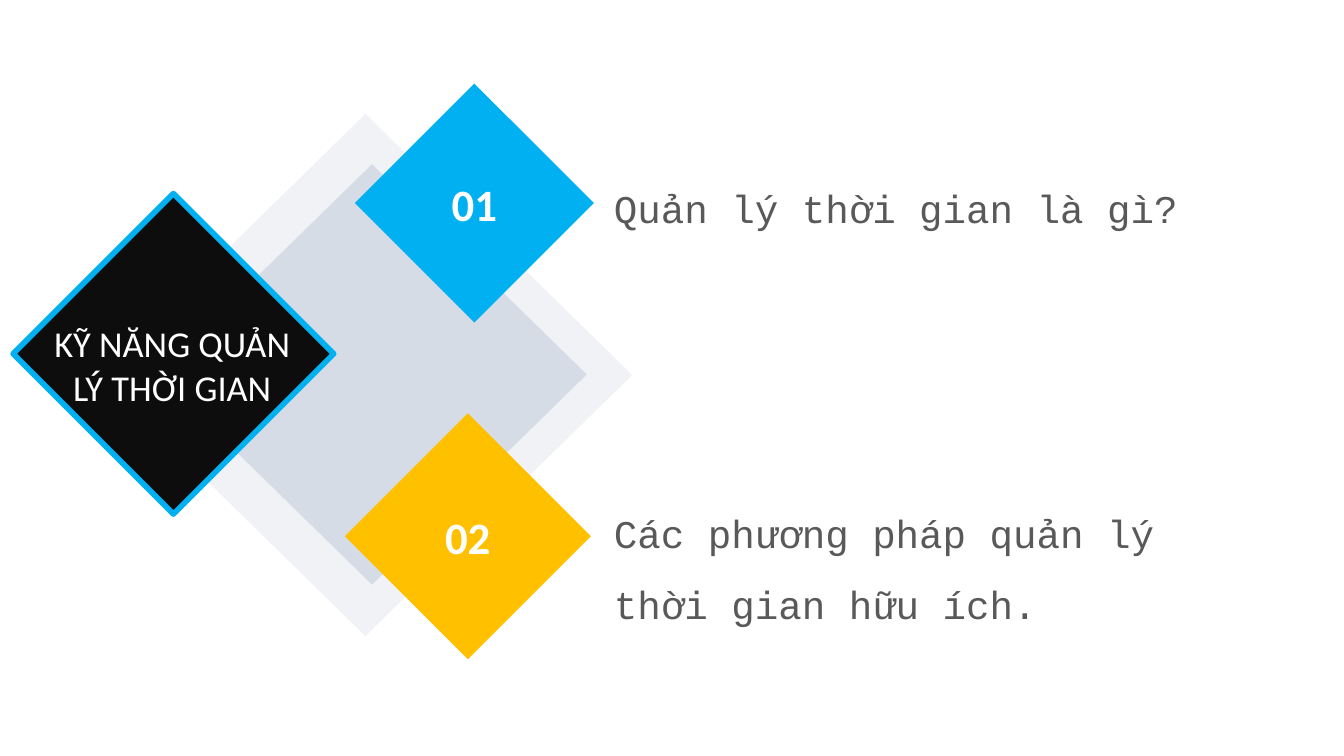
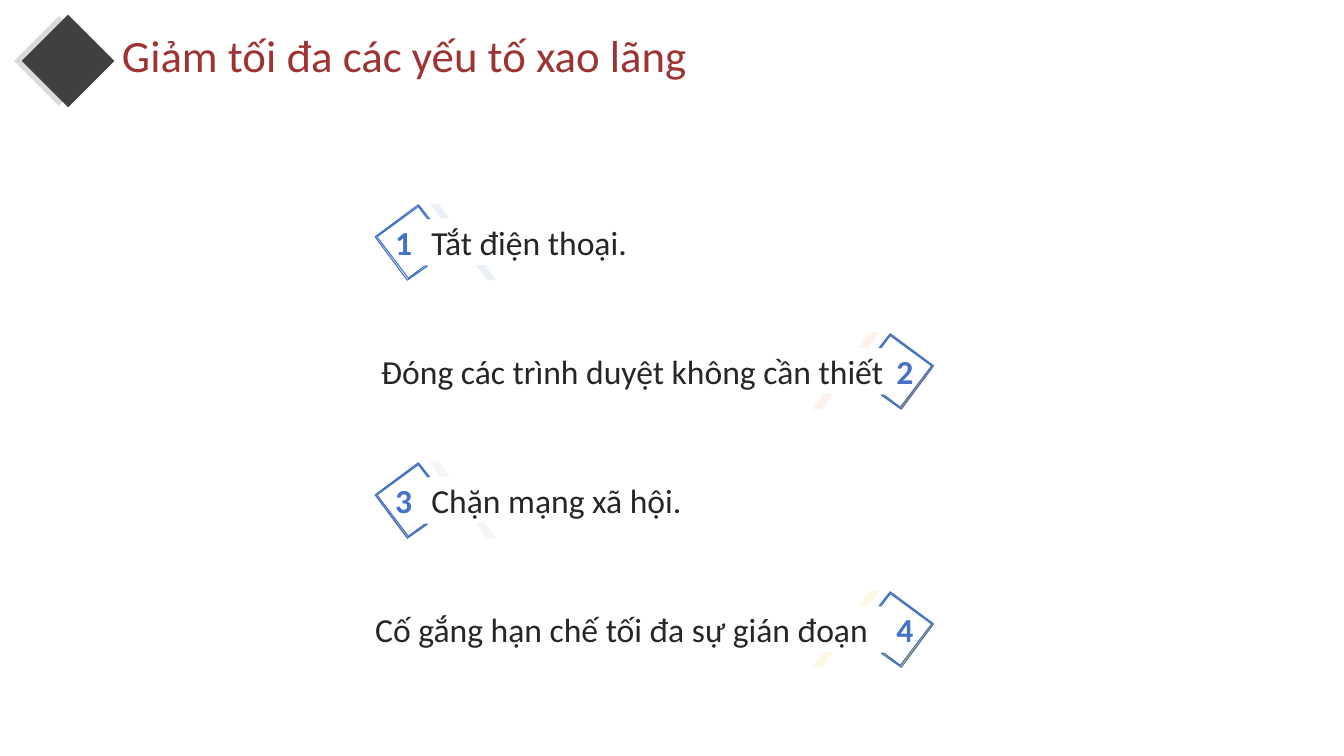
import pptx
import pptx.dml.color
import pptx.enum.shapes
import pptx.enum.text
import pptx.util
from lxml import etree

EMU_PER_PX = 9144
SLIDE_WIDTH, SLIDE_HEIGHT = 1333, 750
TITLE_ONLY_LAYOUT = 5

WHITE, BLACK, MIST = "FFFFFF", "0D0D0D", "D6DCE5"
SKY, AMBER = "00B0F0", "FFC000"
BLUE, ORANGE, GRAY = "4472C4", "ED7D31", "A5A5A5"

SHAPE = pptx.enum.shapes.MSO_SHAPE
ALIGN = pptx.enum.text.PP_ALIGN
ANCHOR = pptx.enum.text.MSO_ANCHOR

AGENDA_TEXT = {"size": 28, "name": "Courier New", "color": "595959"}
AGENDA_NUMBER = {"size": 32, "name": "Calibri", "color": WHITE, "bold": True}
AGENDA_TITLE = {"size": 26, "name": "Calibri", "color": WHITE}
SLIDE_TITLE = {"size": 32, "name": "Calibri", "color": "9D3333"}
TIP_TEXT = {"size": 24, "name": "Calibri", "color": "262626"}
TIP_NUMBER = {"size": 24, "name": "Calibri", "color": BLUE, "bold": True}

BRACKET = [(43, 0), (54, 14), (52, 14), (43, 2), (2, 32),
           (33, 73), (49, 61), (52, 61), (32, 75), (0, 32)]
SHARDS = [[(100, 60), (109, 60), (120, 75), (111, 75)],
          [(54, -1), (63, -1), (74, 14), (65, 14)]]
MARKER_WIDTH, MARKER_HEIGHT = 54, 75

AGENDA = [
    ("01", "Quản lý thời gian là gì?", SKY, (352, 83, 237, 237), 155),
    ("02", "Các phương pháp quản lý thời gian hữu ích.", AMBER,
     (342, 410, 244, 244), 477),
]
TIPS = [
    ("Tắt điện thoại.", None, BLUE, 10),
    ("Đóng các trình duyệt không cần thiết", ORANGE, ORANGE, 10),
    ("Chặn mạng xã hội.", GRAY, GRAY, 10),
    ("Cố gắng hạn chế tối đa sự gián đoạn", AMBER, AMBER, 25),
]


def px(length):
    """Turn a length in px into EMU."""
    return pptx.util.Emu(length * EMU_PER_PX)


def rgb(hex_color):
    """Turn a hex string into a colour."""
    return pptx.dml.color.RGBColor.from_string(hex_color)


def set_values(target, values):
    """Set each attribute named in a dict on the target."""
    for name, value in values.items():
        setattr(target, name, value)


def paint(shape, fill=None, line=None, line_width=1, alpha=None):
    """Give a shape its fill, opacity in percent and outline, without shadow."""
    shape.shadow.inherit = False
    if fill:
        shape.fill.solid()
        shape.fill.fore_color.rgb = rgb(fill)
    else:
        shape.fill.background()
    if alpha:
        color = shape.fill._xPr.find(".//" + pptx.oxml.ns.qn("a:srgbClr"))
        etree.SubElement(color, pptx.oxml.ns.qn("a:alpha"), val=str(alpha * 1000))
    if line:
        shape.line.color.rgb = rgb(line)
        shape.line.width = pptx.util.Pt(line_width)
    else:
        shape.line.fill.background()


def write(shape, text, style, align=ALIGN.LEFT, anchor=ANCHOR.TOP, wrap=True,
          insets=(10, 5, 10, 5), spacing=1.0):
    """Write one formatted paragraph into a shape."""
    frame = shape.text_frame
    sides = ("margin_left", "margin_top", "margin_right", "margin_bottom")
    set_values(frame, dict(zip(sides, map(px, insets))))
    set_values(frame, {"word_wrap": wrap, "vertical_anchor": anchor,
                       "auto_size": pptx.enum.text.MSO_AUTO_SIZE.NONE})
    paragraph = frame.paragraphs[0]
    set_values(paragraph, {"alignment": align, "line_spacing": spacing})
    run = paragraph.add_run()
    run.text = text
    font = dict(style, size=pptx.util.Pt(style["size"]))
    run.font.color.rgb = rgb(font.pop("color"))
    set_values(run.font, font)


def add_preset(slide, kind, box, rotation=0, **look):
    """Add a painted preset shape in a box."""
    shape = slide.shapes.add_shape(kind, *map(px, box))
    shape.rotation = rotation
    paint(shape, **look)
    return shape


def add_text(slide, box, text, style, **layout):
    """Add a text box in a box."""
    write(slide.shapes.add_textbox(*map(px, box)), text, style, **layout)


def add_outline(slide, contours, **look):
    """Add a painted freeform made of closed contours in px."""
    builder = None
    for first, *others in contours:
        if builder is None:
            builder = slide.shapes.build_freeform(*first, scale=EMU_PER_PX)
        else:
            builder.move_to(*first)
        builder.add_line_segments(others, close=True)
    shape = builder.convert_to_shape()
    paint(shape, **look)
    return shape


def place_title(slide, box, text, style, **layout):
    """Move the title placeholder to a box, in front of the other shapes."""
    title = slide.shapes.title
    set_values(title, dict(zip(("left", "top", "width", "height"), map(px, box))))
    write(title, text, style, **layout)
    title.element.getparent().append(title.element)


def agenda_entry(slide, box, number, text, color, text_box):
    """Place a numbered diamond and the topic next to it."""
    diamond = add_preset(slide, SHAPE.DIAMOND, box, fill=color)
    write(diamond, number, AGENDA_NUMBER, align=ALIGN.CENTER,
          anchor=ANCHOR.MIDDLE, wrap=False, insets=(13, 7, 13, 7))
    add_text(slide, text_box, text, AGENDA_TEXT, spacing=1.5)


def topic_diamond(slide, box, text):
    """Place the black diamond that carries the topic as title."""
    left, top, width, height = box
    add_preset(slide, SHAPE.DIAMOND, box, fill=BLACK, line=SKY, line_width=4)
    place_title(slide, (left + 25, top + 127, width - 52, 79), text, AGENDA_TITLE,
                align=ALIGN.CENTER, insets=(0, 0, 0, 0))


def header(slide, box, text):
    """Place the tilted squares and the title on their right."""
    left, top, width, height = box
    add_preset(slide, SHAPE.RECTANGLE, (left, top + 7, 63, 63), 45, fill="D9D9D9")
    add_preset(slide, SHAPE.RECTANGLE, (left + 8, top + 6, 65, 65), 45, fill="404040")
    place_title(slide, (left + 84, top, width - 84, height), text, SLIDE_TITLE)


def tip_row(slide, box, number, text, fill, tint, gap, mirrored):
    """Place one numbered tip, with its marker left or, if mirrored, right."""
    left, top, width, height = box
    origin = left + width - MARKER_WIDTH if mirrored else left

    def place(points):
        """Move marker points to the row, mirrored where needed."""
        return [(origin + (MARKER_WIDTH - x if mirrored else x), top + y)
                for x, y in points]

    bracket = add_outline(slide, [place(BRACKET)], fill=fill, line=BLUE,
                          line_width=0.75)
    add_outline(slide, [place(shard) for shard in SHARDS], fill=tint, alpha=10)
    align = ALIGN.RIGHT if mirrored else ALIGN.LEFT
    write(bracket, str(number), TIP_NUMBER, align=align, anchor=ANCHOR.MIDDLE,
          insets=(0, 0, 20, 0) if mirrored else (20, 0, 0, 0))
    text_width = 716
    text_left = origin + 14 - text_width if mirrored else origin + 46
    add_text(slide, (text_left, top + 12, text_width, 50), text, TIP_TEXT,
             align=align, insets=(10, 5, gap, 5))


def agenda_slide(presentation):
    """Build the slide with the topic and its two parts."""
    slide = presentation.slides.add_slide(
        presentation.slide_layouts[TITLE_ONLY_LAYOUT])
    add_preset(slide, SHAPE.DIAMOND, (98, 113, 529, 518), fill=MIST, alpha=35)
    add_preset(slide, SHAPE.DIAMOND, (156, 163, 426, 417), fill=MIST)
    for number, text, color, box, text_top in AGENDA:
        agenda_entry(slide, box, number, text, color, (599, text_top, 598, 144))
    topic_diamond(slide, (13, 192, 318, 318), "KỸ NĂNG QUẢN LÝ THỜI GIAN")


def tips_slide(presentation):
    """Build the slide with the tips on alternating sides."""
    slide = presentation.slides.add_slide(
        presentation.slide_layouts[TITLE_ONLY_LAYOUT])
    for index, (text, fill, tint, gap) in enumerate(TIPS):
        tip_row(slide, (372, 203 + 128 * index, 554, MARKER_HEIGHT), index + 1,
                text, fill, tint, gap, mirrored=index % 2 == 1)
    header(slide, (27, 22, 895, 64), "Giảm tối đa các yếu tố xao lãng")


def main():
    """Build and save the presentation."""
    presentation = pptx.Presentation()
    set_values(presentation, {"slide_width": px(SLIDE_WIDTH),
                              "slide_height": px(SLIDE_HEIGHT)})
    agenda_slide(presentation)
    tips_slide(presentation)
    presentation.save("out.pptx")


if __name__ == "__main__":
    main()
